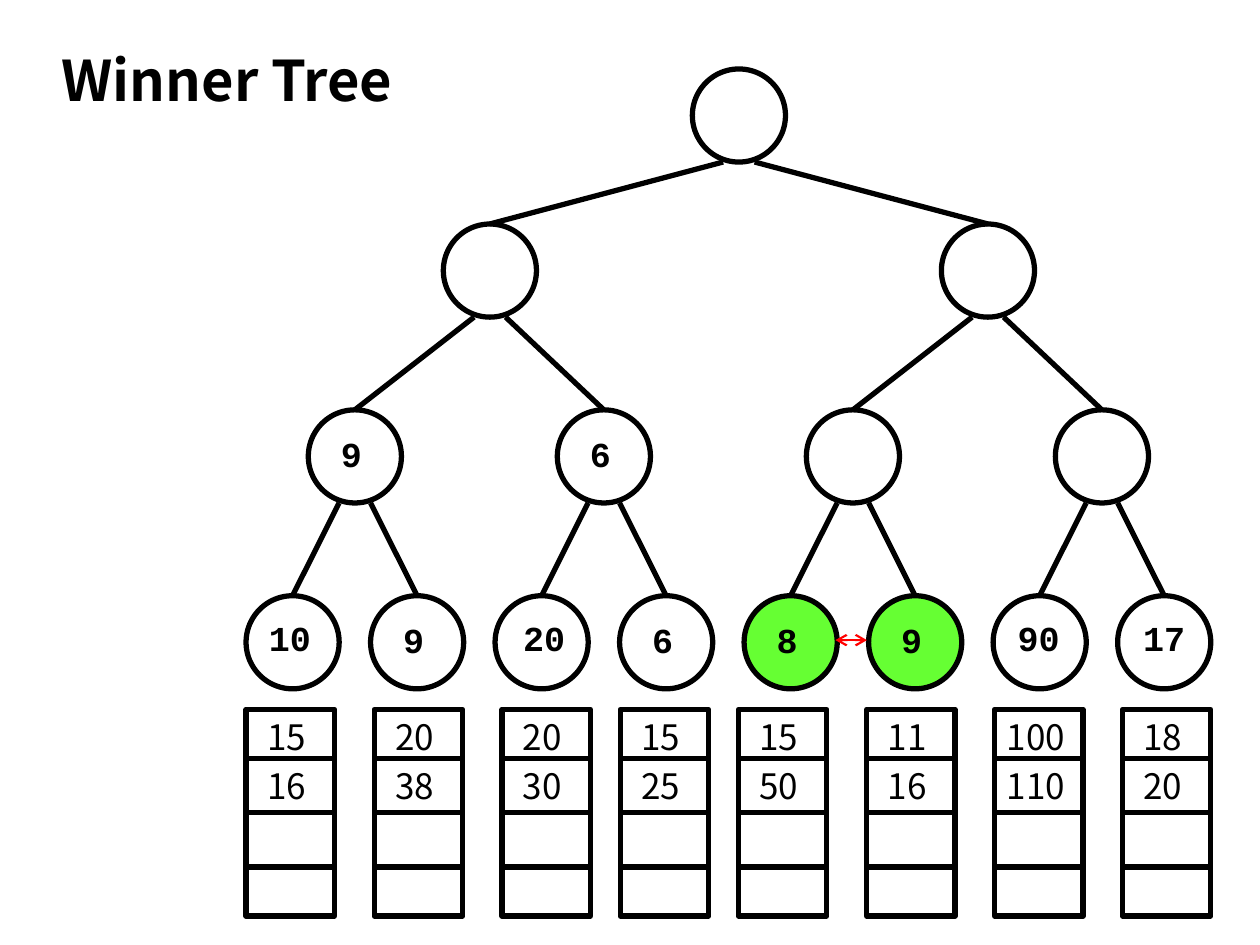
from lxml.etree import SubElement
from pptx import Presentation
from pptx.dml.color import RGBColor
from pptx.enum.shapes import MSO_CONNECTOR, MSO_SHAPE
from pptx.enum.text import MSO_ANCHOR, PP_ALIGN
from pptx.oxml.ns import qn
from pptx.util import Pt

BLACK = RGBColor(0x00, 0x00, 0x00)
GREEN = RGBColor(0x66, 0xFF, 0x33)
RED = RGBColor(0xFF, 0x00, 0x00)
SANS, MONO = "Noto Sans CJK KR", "Courier New"

DIAMETER = 53.2
LEVEL_TOPS = [39.4, 128, 234.2, 340.4]
LEAF_START, LEAF_PITCH = 167.2, 71.15
INNER_SHIFT = 6
FORK = 9
RUN_TOP, RUN_WIDTH, RUN_HEIGHT = 405.4, 50.6, 118.1
RUN_LINES = [433.4, 464.4, 495.4]

LEAVES = [("10", -1.5), ("9", -2), ("20", 1.5), ("6", -2),
          ("8", -2), ("9", -2), ("90", -0.5), ("17", 0)]
PAIR_WINNERS = [("9", -2), ("6", -2), ("", 0), ("", 0)]
COMPARED = (4, 5)
RUNS = [(140.6, "15", "16"), (213.8, "20", "38"), (286.8, "20", "30"), (354.4, "15", "25"),
        (421.9, "15", "50"), (495.2, "11", "16"), (568.3, "100", "110"), (641.3, "18", "20")]


class TreeSlide:
    """Draws styled elements on one slide, with all lengths in points."""

    def __init__(self, prs):
        self.s = prs.slides.add_slide(prs.slide_layouts[6])

    def shape(self, kind, x, y, w, h, fill=None):
        sp = self.s.shapes.add_shape(kind, Pt(x), Pt(y), Pt(w), Pt(h))
        sp.shadow.inherit = False
        sp.line.color.rgb = BLACK
        sp.line.width = Pt(3)
        if fill is None:
            sp.fill.background()
        else:
            sp.fill.solid()
            sp.fill.fore_color.rgb = fill

    def text(self, text, x, y, w, h, size=20, font=SANS, bold=False, align=PP_ALIGN.LEFT):
        tf = self.s.shapes.add_textbox(Pt(x), Pt(y), Pt(w), Pt(h)).text_frame
        tf.word_wrap = True
        tf.vertical_anchor = MSO_ANCHOR.TOP
        p = tf.paragraphs[0]
        p.text = text
        p.alignment = align
        p.font.name = font
        p.font.size = Pt(size)
        p.font.bold = bold
        p.font.color.rgb = BLACK

    def line(self, x1, y1, x2, y2, color=BLACK, width=3, arrows=False):
        c = self.s.shapes.add_connector(MSO_CONNECTOR.STRAIGHT, Pt(x1), Pt(y1), Pt(x2), Pt(y2))
        c.line.color.rgb = color
        c.line.width = Pt(width)
        if arrows:
            ln = c.line._get_or_add_ln()
            for end in ("a:headEnd", "a:tailEnd"):
                SubElement(ln, qn(end), type="arrow")
        SubElement(c._element.spPr, qn("a:effectLst"))

    def node(self, center, top, label="", nudge=0, fill=None):
        self.shape(MSO_SHAPE.OVAL, center - DIAMETER / 2, top, DIAMETER, DIAMETER, fill)
        if label:
            drop = 9.6 if len(label) == 1 else 8.1
            self.text(label, center + nudge - 25, top + drop, 50, 31.5,
                      font=MONO, bold=True, align=PP_ALIGN.CENTER)

    def fork(self, parent, parent_top, children, child_top):
        for child, side in zip(children, (-FORK, FORK)):
            self.line(child, child_top, parent + side, parent_top + DIAMETER)

    def run(self, x, values):
        self.shape(MSO_SHAPE.RECTANGLE, x, RUN_TOP, RUN_WIDTH, RUN_HEIGHT)
        for y in RUN_LINES:
            self.line(x, y, x + RUN_WIDTH, y)
        inset = 5 if len(values[0]) == 2 else 0
        for value, y in zip(values, (RUN_TOP, RUN_LINES[0])):
            self.text(value, x + inset, y, 51 - 2 * inset, 31.5)


def midpoints(centers, shift=0):
    return [(a + b) / 2 + shift for a, b in zip(centers[::2], centers[1::2])]


def main():
    prs = Presentation()
    prs.slide_width, prs.slide_height = Pt(720), Pt(540)
    slide = TreeSlide(prs)

    leaves = [LEAF_START + i * LEAF_PITCH for i in range(len(LEAVES))]
    pairs = midpoints(leaves)
    inner = midpoints(pairs, INNER_SHIFT)
    levels = [midpoints(inner), inner, pairs, leaves]
    labels = [[("", 0)], [("", 0)] * 2, PAIR_WINNERS, LEAVES]

    for centers, top, row in zip(levels, LEVEL_TOPS, labels):
        for i, (center, (label, nudge)) in enumerate(zip(centers, row)):
            fill = GREEN if row is LEAVES and i in COMPARED else None
            slide.node(center, top, label, nudge, fill)
    for depth, parents in enumerate(levels[:-1]):
        for i, parent in enumerate(parents):
            slide.fork(parent, LEVEL_TOPS[depth],
                       levels[depth + 1][2 * i:2 * i + 2], LEVEL_TOPS[depth + 1])
    for x, *values in RUNS:
        slide.run(x, values)

    slide.text("Winner Tree", 28.1, 22.3, 242, 46, size=32, bold=True)
    slide.line(477.4, 365.8, 495.4, 365.8, RED, 1.25, arrows=True)
    prs.save("out.pptx")


if __name__ == "__main__":
    main()
